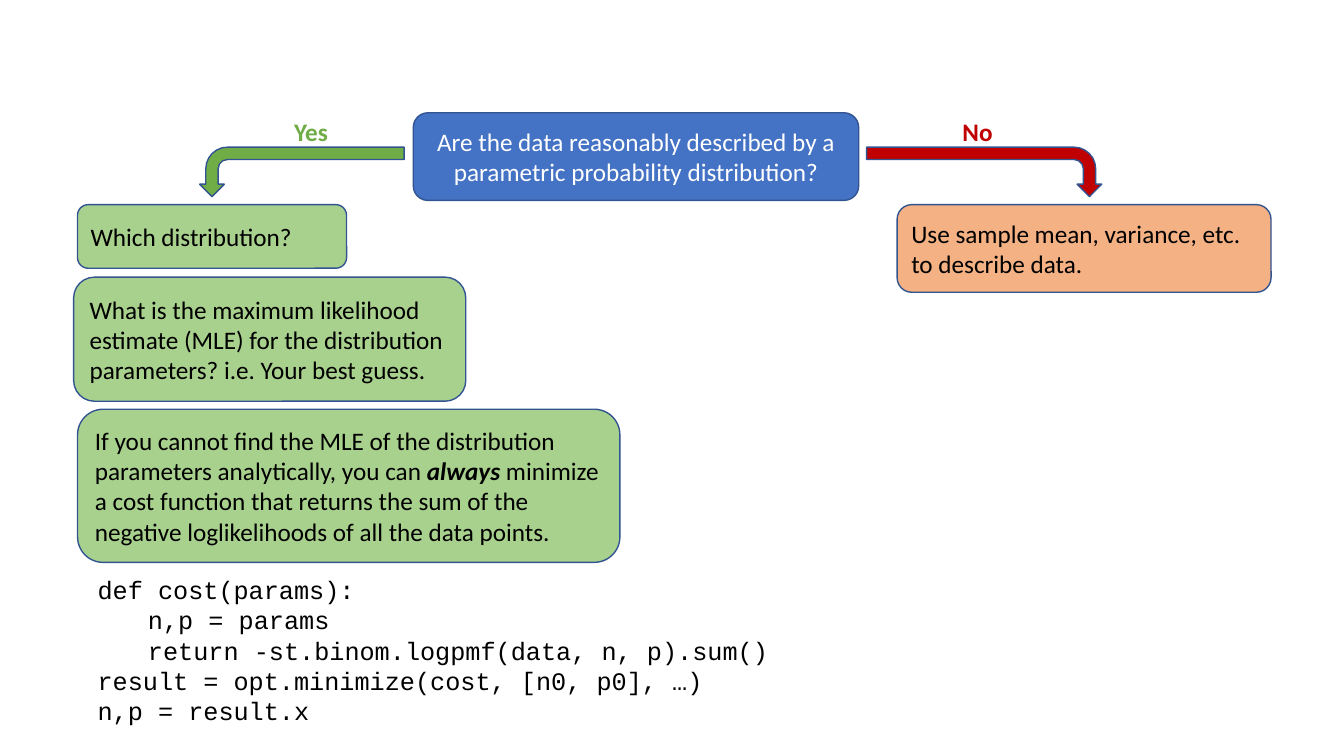
from pptx import Presentation
from pptx.dml.color import RGBColor
from pptx.enum import shapes, text
from pptx.util import Pt

COLORS = {
    "outline": "325491",
    "question": "4472C4",
    "yes": "70AD47",
    "no": "C00000",
    "yes_step": "A9D18E",
    "no_step": "F4B183",
    "light": "FFFFFF",
    "dark": "000000",
}
SIZE = Pt(18)


def color(name):
    return RGBColor.from_string(COLORS[name])


def style_text(paragraph, ink, face="Calibri", bold=None):
    paragraph.font.size = SIZE
    paragraph.font.name = face
    paragraph.font.bold = bold
    paragraph.font.color.rgb = color(ink)


def filled_shape(slide, preset, box, fill):
    part = slide.shapes.add_shape(preset, *map(Pt, box))
    part.shadow.inherit = False
    part.fill.solid()
    part.fill.fore_color.rgb = color(fill)
    part.line.color.rgb = color("outline")
    part.line.width = Pt(1)
    return part


def add_card(slide, box, runs, fill, ink="dark", align=text.PP_ALIGN.LEFT):
    card = filled_shape(slide, shapes.MSO_SHAPE.ROUNDED_RECTANGLE, box, fill)
    card.text_frame.word_wrap = True
    card.text_frame.vertical_anchor = text.MSO_ANCHOR.MIDDLE
    paragraph = card.text_frame.paragraphs[0]
    paragraph.alignment = align
    style_text(paragraph, ink)
    for words, stressed in runs:
        run = paragraph.add_run()
        run.text = words
        if stressed:
            run.font.bold = run.font.italic = True


def add_lines(slide, box, lines, ink, face="Calibri", bold=None):
    frame = slide.shapes.add_textbox(*map(Pt, box)).text_frame
    frame.word_wrap = False
    frame.auto_size = text.MSO_AUTO_SIZE.SHAPE_TO_FIT_TEXT
    for index, line in enumerate(lines):
        paragraph = frame.add_paragraph() if index else frame.paragraphs[0]
        paragraph.text = line
        style_text(paragraph, ink, face, bold)


def add_branch(slide, box, label, label_offset, label_width, fill, to_left):
    left, top, width, height = box
    add_lines(slide, (left + label_offset, top - 25.2, label_width, 28.8),
              [label], fill, bold=True)
    upright = (left + (width - height) / 2, top + (height - width) / 2, height, width)
    arrow = filled_shape(slide, shapes.MSO_SHAPE.BENT_ARROW, upright, fill)
    arrow.rotation = 270 if to_left else 90
    if to_left:
        arrow.element.spPr.xfrm.set("flipH", "1")


def add_decision_slide(deck):
    slide = deck.slides.add_slide(deck.slide_layouts[6])

    add_branch(slide, (142.6, 105.1, 146, 35.3), "Yes", 60.4, 38.9, "yes", True)
    add_branch(slide, (619, 105.1, 168, 35.3), "No", 61.4, 36, "no", False)

    question = "Are the data reasonably described by a parametric probability distribution?"
    add_card(slide, (295.2, 80.6, 318.2, 62.6), [(question, False)],
             "question", "light", text.PP_ALIGN.CENTER)
    add_card(slide, (640.8, 146.2, 267.1, 62.6),
             [("Use sample mean, variance, etc. to describe data.", False)], "no_step")

    yes_steps = [
        ((55.4, 146.2, 192.2, 45.4), [("Which distribution?", False)]),
        ((52.6, 198, 280.1, 88.6),
         [("What is the maximum likelihood estimate (MLE) for the distribution "
           "parameters? i.e. Your best guess.", False)]),
        ((55.4, 292.3, 387.4, 109.4),
         [("If you cannot find the MLE of the distribution parameters analytically, "
           "you can ", False),
          ("always", True),
          (" minimize a cost function that returns the sum of the negative "
           "loglikelihoods of all the data points.", False)]),
    ]
    for box, runs in yes_steps:
        add_card(slide, box, runs, "yes_step")

    code = [
        "def cost(params):",
        "\tn,p = params",
        "\treturn -st.binom.logpmf(data, n, p).sum()",
        "result = opt.minimize(cost, [n0, p0], …)",
        "n,p = result.x",
    ]
    add_lines(slide, (62.6, 406.8, 532.1, 116.6), code, "dark", "Courier New")


def main():
    deck = Presentation()
    deck.slide_width, deck.slide_height = Pt(960), Pt(540)
    add_decision_slide(deck)
    deck.save("out.pptx")


if __name__ == "__main__":
    main()
